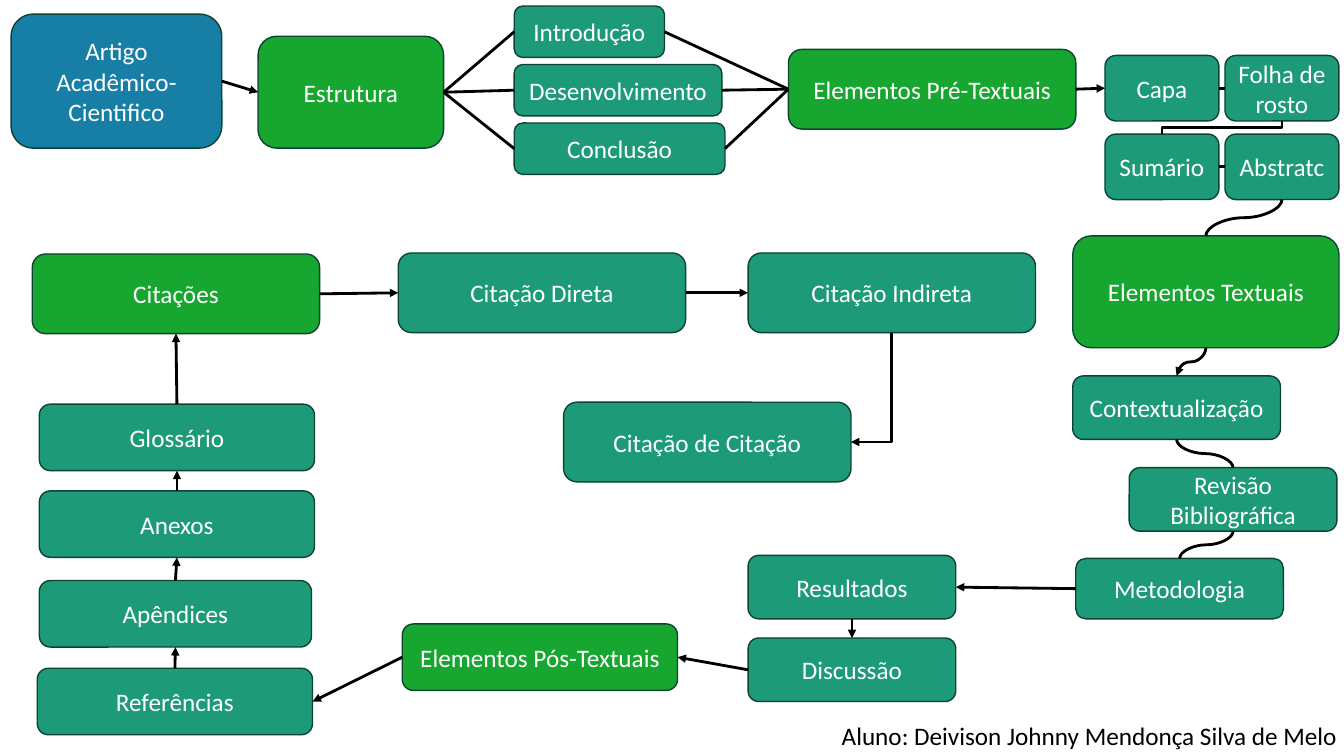
import pptx
import pptx.util
import pptx.dml.color
import pptx.enum.shapes
import pptx.enum.text
import pptx.oxml.ns
import lxml.etree

PX = 9144
HUES = {"blue": "177EA6", "green": "17A62F", "teal": "1D9A78",
        "edge": "0D4335", "white": "FFFFFF", "black": "000000"}
TOP, LEFT, BASE, RIGHT = range(4)
KINDS = pptx.enum.shapes.MSO_CONNECTOR
qn = pptx.oxml.ns.qn


def hue(name):
    return pptx.dml.color.RGBColor.from_string(HUES[name])


def write(shape, text, tint, align):
    shape.text_frame.text = text
    para = shape.text_frame.paragraphs[0]
    para.alignment = align
    font = para.runs[0].font
    font.name = "Calibri"
    font.size = pptx.util.Pt(18)
    font.color.rgb = hue(tint)


def node(slide, area, place, text, fill="teal"):
    x, y, w, h = place
    shape = slide.shapes.add_shape(
        pptx.enum.shapes.MSO_SHAPE.ROUNDED_RECTANGLE,
        (area[0] + x) * PX, (area[1] + y) * PX, w * PX, h * PX)
    shape.shadow.inherit = False
    shape.fill.solid()
    shape.fill.fore_color.rgb = hue(fill)
    shape.line.color.rgb = hue("edge")
    shape.line.width = pptx.util.Pt(1)
    shape.text_frame.word_wrap = True
    shape.text_frame.vertical_anchor = pptx.enum.text.MSO_ANCHOR.MIDDLE
    write(shape, text, "white", pptx.enum.text.PP_ALIGN.CENTER)
    return shape


def style(line, arrow):
    line.line.color.rgb = hue("black")
    line.line.width = pptx.util.Pt(2)
    props = line.element.spPr
    if arrow:
        lxml.etree.SubElement(props.find(qn("a:ln")), qn("a:tailEnd"), type="triangle")
    lxml.etree.SubElement(props, qn("a:effectLst"))


def link(slide, start, out, end, into, arrow=True):
    line = slide.shapes.add_connector(KINDS.STRAIGHT, 0, 0, 0, 0)
    line.begin_connect(start, out)
    line.end_connect(end, into)
    style(line, arrow)


def point(shape, side):
    across = {TOP: 1, LEFT: 0, BASE: 1, RIGHT: 2}[side]
    down = {TOP: 0, LEFT: 1, BASE: 2, RIGHT: 1}[side]
    return (shape.left + shape.width * across // 2,
            shape.top + shape.height * down // 2)


def drop(slide, kind, start, end, into=TOP, arrow=False):
    x1, y1 = point(start, BASE)
    x2, y2 = point(end, into)
    midx, midy = (x1 + x2) // 2, (y1 + y2) // 2
    wide, high = (y2 - y1) // 2, abs(x2 - x1) // 2
    line = slide.shapes.add_connector(
        kind, midx - wide, midy - high, midx + wide, midy + high)
    frame = line.element.spPr.find(qn("a:xfrm"))
    if x2 < x1:
        frame.set("rot", "5400000")
    else:
        frame.set("rot", "16200000")
        frame.set("flipH", "1")
    if into != TOP:
        line.element.spPr.find(qn("a:prstGeom")).set("prst", "bentConnector2")
    style(line, arrow)


def draw_frame(slide, area):
    title = node(slide, area, (0, 8, 209, 133), "Artigo Acadêmico-Cientifico", "blue")
    frame = node(slide, area, (245, 30, 184, 111), "Estrutura", "green")
    link(slide, title, RIGHT, frame, LEFT)
    parts = []
    for i, (text, w) in enumerate([("Introdução", 149), ("Desenvolvimento", 206),
                                   ("Conclusão", 209)]):
        part = node(slide, area, (499, 58 * i, w, 51), text)
        link(slide, frame, RIGHT, part, LEFT, False)
        parts.append(part)
    return parts


def draw_pre(slide, area):
    head = node(slide, area, (0, 0, 285, 79), "Elementos Pré-Textuais", "green")
    names = ["Capa", "Folha de rosto", "Sumário", "Abstratc"]
    cells = [node(slide, area, (314 + 119 * (i % 2), 6 + 78 * (i // 2), 113, 65), name)
             for i, name in enumerate(names)]
    cover, sheet, index, brief = cells
    link(slide, head, RIGHT, cover, LEFT)
    link(slide, cover, RIGHT, sheet, LEFT, False)
    drop(slide, KINDS.ELBOW, sheet, index)
    link(slide, index, RIGHT, brief, LEFT, False)
    return head, brief


def draw_text(slide, area):
    head = node(slide, area, (322, 0, 264, 111), "Elementos Textuais", "green")
    scope = node(slide, area, (322, 139, 206, 63), "Contextualização")
    review = node(slide, area, (378, 230, 206, 63), "Revisão Bibliográfica")
    method = node(slide, area, (325, 320, 206, 60), "Metodologia")
    result = node(slide, area, (0, 317, 206, 63), "Resultados")
    debate = node(slide, area, (0, 399, 206, 63), "Discussão")
    drop(slide, KINDS.CURVE, head, scope, arrow=True)
    drop(slide, KINDS.CURVE, scope, review)
    drop(slide, KINDS.CURVE, review, method)
    link(slide, method, LEFT, result, RIGHT)
    link(slide, result, BASE, debate, TOP)
    return head, debate


def draw_post(slide, area):
    head = node(slide, area, (362, 218, 273, 66), "Elementos Pós-Textuais", "green")
    stack = [node(slide, area, (x, y, w, 66), text) for text, x, y, w in [
        ("Referências", 0, 262, 273), ("Apêndices", 2, 175, 270),
        ("Anexos", 2, 86, 273), ("Glossário", 2, 0, 273)]]
    link(slide, head, LEFT, stack[0], RIGHT)
    for low, high in zip(stack, stack[1:]):
        link(slide, low, TOP, high, BASE)
    return head, stack[-1]


def draw_cites(slide, area):
    head = node(slide, area, (0, 1, 285, 79), "Citações", "green")
    direct = node(slide, area, (363, 0, 285, 79), "Citação Direta")
    other = node(slide, area, (710, 0, 285, 79), "Citação Indireta")
    nested = node(slide, area, (527, 148, 285, 79), "Citação de Citação")
    link(slide, head, RIGHT, direct, LEFT)
    link(slide, direct, RIGHT, other, LEFT)
    drop(slide, KINDS.ELBOW, other, nested, RIGHT, True)
    return head


def draw_name(slide, area):
    label = slide.shapes.add_textbox(*[n * PX for n in area])
    label.text_frame.word_wrap = True
    write(label, "Aluno: Deivison Johnny Mendonça Silva de Melo", "black",
          pptx.enum.text.PP_ALIGN.LEFT)


def main():
    deck = pptx.Presentation()
    deck.slide_width, deck.slide_height = 1333 * PX, 750 * PX
    slide = deck.slides.add_slide(deck.slide_layouts[6])
    parts = draw_frame(slide, (11, 6, 708, 167))
    pre, brief = draw_pre(slide, (782, 49, 546, 149))
    body, debate = draw_text(slide, (742, 234, 586, 462))
    post, terms = draw_post(slide, (37, 401, 635, 328))
    cites = draw_cites(slide, (32, 251, 995, 227))
    for part in parts:
        link(slide, part, RIGHT, pre, LEFT, False)
    drop(slide, KINDS.CURVE, brief, body)
    link(slide, debate, LEFT, post, RIGHT)
    link(slide, terms, TOP, cites, BASE)
    draw_name(slide, (825, 710, 540, 40))
    deck.save("out.pptx")


if __name__ == "__main__":
    main()
